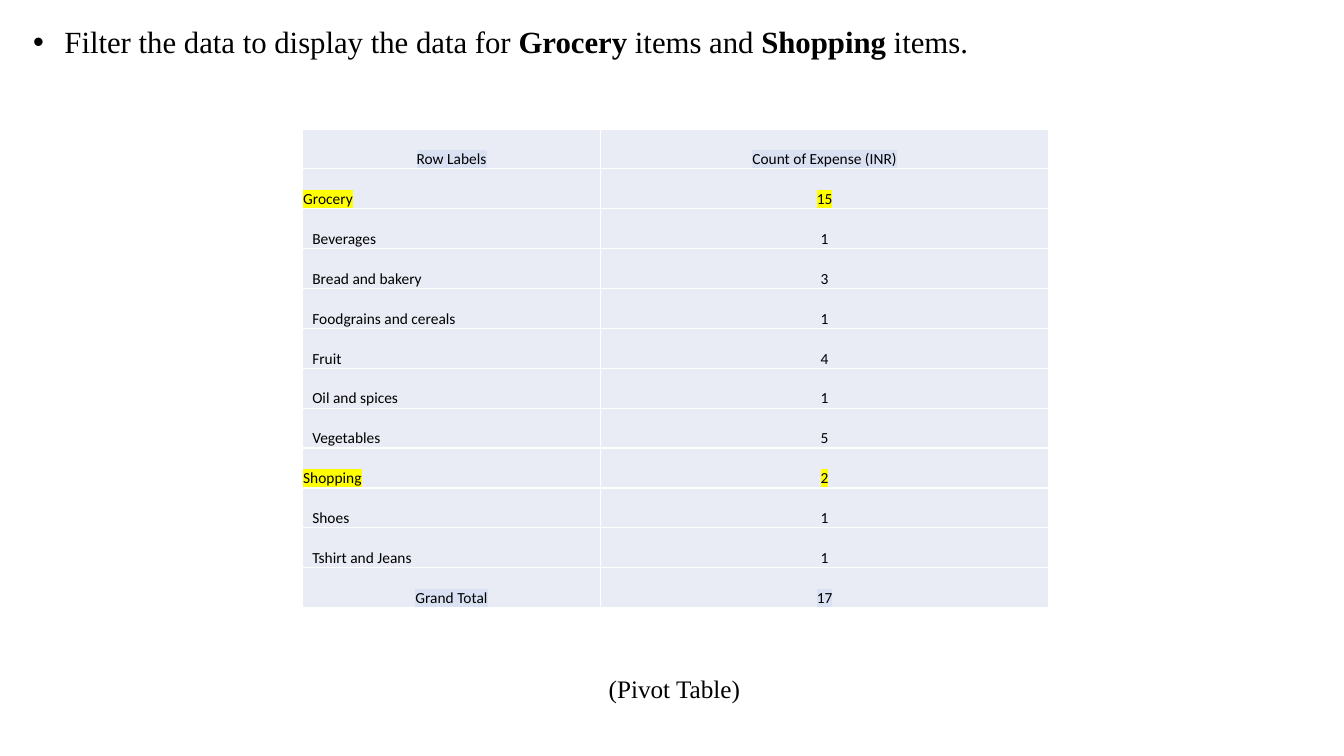
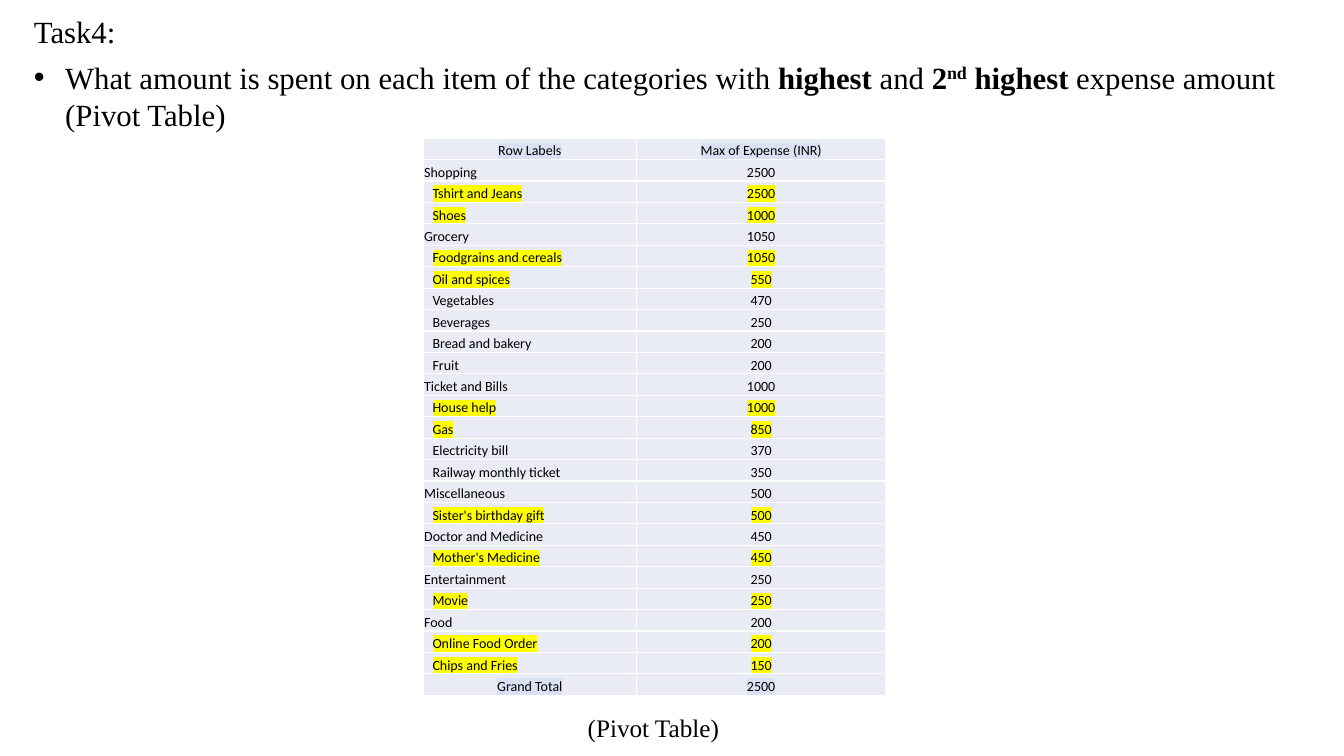
import dataclasses

import lxml.etree
import pptx
import pptx.dml.color
import pptx.enum.text
import pptx.oxml.ns
import pptx.util

Cm = pptx.util.Cm
Pt = pptx.util.Pt
ALIGN = pptx.enum.text.PP_ALIGN
ANCHOR = pptx.enum.text.MSO_ANCHOR
AUTO_SIZE = pptx.enum.text.MSO_AUTO_SIZE


@dataclasses.dataclass(frozen=True)
class Theme:
    """Colours, fonts and type sizes shared by the slides."""
    ink: str = "000000"
    cell: str = "E9EBF5"
    border: str = "FFFFFF"
    border_width: int = Pt(1)
    summary_mark: str = "D9E1F2"
    answer_mark: str = "FFFF00"
    text_font: str = "Times New Roman"
    table_font: str = "Calibri"
    question_size: int = 22
    caption_size: int = 18


@dataclasses.dataclass(frozen=True)
class Box:
    """A rectangle in centimetres."""
    left: float
    top: float
    width: float
    height: float

    def lengths(self):
        """Return left, top, width and height as lengths."""
        return Cm(self.left), Cm(self.top), Cm(self.width), Cm(self.height)


@dataclasses.dataclass(frozen=True)
class Pivot:
    """The content and look of one pivot table."""
    measure: str
    categories: list
    grand_total: int
    first_column: float
    size: int
    indent: float
    mark_categories: bool = False
    marked_items: int = 0


THEME = Theme()

FILTER_QUESTION = [
    (True, [("Filter the data to display the data for ", ""), ("Grocery", "bold"),
            (" items and ", ""), ("Shopping", "bold"), (" items.", "")]),
]
TASK_QUESTION = [
    (False, [("Task4:", "")]),
    (True, [("What amount is spent on each item of the categories with ", ""),
            ("highest", "bold"), (" and ", ""), ("2", "bold"), ("nd", "bold super"),
            (" highest", "bold"), (" expense amount (Pivot Table)", "")]),
]
EXPENSE_COUNT = Pivot(
    measure="Count of Expense (INR)",
    categories=[
        ("Grocery", 15, [("Beverages", 1), ("Bread and bakery", 3),
                         ("Foodgrains and cereals", 1), ("Fruit", 4),
                         ("Oil and spices", 1), ("Vegetables", 5)]),
        ("Shopping", 2, [("Shoes", 1), ("Tshirt and Jeans", 1)]),
    ],
    grand_total=17, first_column=0.4, size=11, indent=0.25, mark_categories=True)
EXPENSE_MAXIMUM = Pivot(
    measure="Max of Expense (INR)",
    categories=[
        ("Shopping", 2500, [("Tshirt and Jeans", 2500), ("Shoes", 1000)]),
        ("Grocery", 1050, [("Foodgrains and cereals", 1050), ("Oil and spices", 550),
                           ("Vegetables", 470), ("Beverages", 250),
                           ("Bread and bakery", 200), ("Fruit", 200)]),
        ("Ticket and Bills", 1000, [("House help", 1000), ("Gas", 850),
                                    ("Electricity bill", 370),
                                    ("Railway monthly ticket", 350)]),
        ("Miscellaneous", 500, [("Sister's birthday gift", 500)]),
        ("Doctor and Medicine", 450, [("Mother's Medicine", 450)]),
        ("Entertainment", 250, [("Movie", 250)]),
        ("Food", 200, [("Online Food Order", 200), ("Chips and Fries", 150)]),
    ],
    grand_total=2500, first_column=0.46, size=10, indent=0.23, marked_items=2)


def add_element(parent, tag, **attributes):
    """Append a drawing element with the given attributes."""
    return lxml.etree.SubElement(parent, pptx.oxml.ns.qn(tag), attributes)


def style_run(run, font_name, size, mark=None):
    """Set the font, size, ink and optional highlight of a run."""
    run.font.size = Pt(size)
    run.font.color.rgb = pptx.dml.color.RGBColor.from_string(THEME.ink)
    if mark:
        highlight = add_element(run.font._element, "a:highlight")
        add_element(highlight, "a:srgbClr", val=mark)
    run.font.name = font_name


def add_bullet(paragraph):
    """Give a paragraph a hanging round bullet."""
    properties = paragraph._p.get_or_add_pPr()
    hanging = Cm(0.79)
    properties.set("marL", str(hanging))
    properties.set("indent", str(-hanging))
    add_element(properties, "a:buFont", typeface="Arial")
    add_element(properties, "a:buChar", char="•")


def place_question(slide, box, question):
    """Fill the title placeholder with the question."""
    title = slide.shapes.title
    title.left, title.top, title.width, title.height = box.lengths()
    frame = title.text_frame
    frame.word_wrap = True
    frame.auto_size = AUTO_SIZE.SHAPE_TO_FIT_TEXT
    frame.vertical_anchor = ANCHOR.TOP
    for index, (bulleted, pieces) in enumerate(question):
        paragraph = frame.add_paragraph() if index else frame.paragraphs[0]
        paragraph.alignment = ALIGN.LEFT
        paragraph.space_before = Pt(6)
        if bulleted:
            add_bullet(paragraph)
        for words, emphasis in pieces:
            run = paragraph.add_run()
            run.text = words
            style_run(run, THEME.text_font, THEME.question_size)
            run.font.bold = "bold" in emphasis
            if "super" in emphasis:
                run.font._element.set("baseline", "30000")


def pivot_rows(pivot):
    """Yield label, value, kind and highlight for each table row."""
    yield "Row Labels", pivot.measure, "summary", THEME.summary_mark
    for category, total, items in pivot.categories:
        yield category, total, "category", THEME.answer_mark if pivot.mark_categories else None
        for rank, (item, value) in enumerate(items):
            yield item, value, "item", THEME.answer_mark if rank < pivot.marked_items else None
    yield "Grand Total", pivot.grand_total, "summary", THEME.summary_mark


def draw_borders(cell):
    """Draw a thin line on every side of a cell."""
    properties = cell._tc.get_or_add_tcPr()
    for position, side in enumerate(("a:lnL", "a:lnR", "a:lnT", "a:lnB")):
        line = add_element(properties, side, w=str(THEME.border_width))
        add_element(add_element(line, "a:solidFill"), "a:srgbClr", val=THEME.border)
        properties.insert(position, line)


def fill_cell(cell, words, size, alignment, indent, mark):
    """Write and format one table cell."""
    cell.fill.solid()
    cell.fill.fore_color.rgb = pptx.dml.color.RGBColor.from_string(THEME.cell)
    draw_borders(cell)
    cell.vertical_anchor = ANCHOR.BOTTOM
    cell.margin_left = Cm(indent)
    cell.margin_right = cell.margin_top = Cm(0.02)
    cell.margin_bottom = 0
    paragraph = cell.text_frame.paragraphs[0]
    paragraph.text = str(words)
    paragraph.alignment = alignment
    style_run(paragraph.runs[0], THEME.table_font, size, mark)


def place_pivot(slide, box, pivot):
    """Build the pivot table inside its box."""
    rows = list(pivot_rows(pivot))
    table = slide.shapes.add_table(len(rows), 2, *box.lengths()).table
    table.first_row = table.horz_banding = False
    table.columns[0].width = Cm(box.width * pivot.first_column)
    table.columns[1].width = Cm(box.width * (1 - pivot.first_column))
    for index, (label, value, kind, mark) in enumerate(rows):
        table.rows[index].height = Cm(box.height / len(rows))
        alignment = ALIGN.CENTER if kind == "summary" else ALIGN.LEFT
        indent = pivot.indent if kind == "item" else 0.02
        fill_cell(table.cell(index, 0), label, pivot.size, alignment, indent, mark)
        fill_cell(table.cell(index, 1), value, pivot.size, ALIGN.CENTER, 0.02, mark)


def place_caption(slide, box):
    """Write the caption under the table."""
    caption = slide.shapes.add_textbox(*box.lengths())
    frame = caption.text_frame
    frame.word_wrap = True
    frame.auto_size = AUTO_SIZE.SHAPE_TO_FIT_TEXT
    frame.text = "(Pivot Table)"
    style_run(frame.paragraphs[0].runs[0], THEME.text_font, THEME.caption_size)


def add_pivot_slide(deck, question, question_box, pivot, pivot_box, caption_box):
    """Add a slide with a question, its pivot table and a caption."""
    slide = deck.slides.add_slide(deck.slide_layouts[5])
    place_question(slide, question_box, question)
    place_pivot(slide, pivot_box, pivot)
    place_caption(slide, caption_box)


def main():
    """Build and save the deck."""
    deck = pptx.Presentation()
    deck.slide_width = Cm(33.87)
    deck.slide_height = Cm(19.05)
    add_pivot_slide(deck, FILTER_QUESTION, Box(0.58, 0.45, 25.4, 1.2),
                    EXPENSE_COUNT, Box(7.62, 3.25, 18.8, 12.06),
                    Box(15.09, 16.85, 3.9, 1.02))
    add_pivot_slide(deck, TASK_QUESTION, Box(0.6, 0.2, 31.8, 3.3),
                    EXPENSE_MAXIMUM, Box(10.67, 3.48, 11.66, 14.05),
                    Box(14.56, 17.83, 3.9, 1.02))
    deck.save("out.pptx")


if __name__ == "__main__":
    main()
